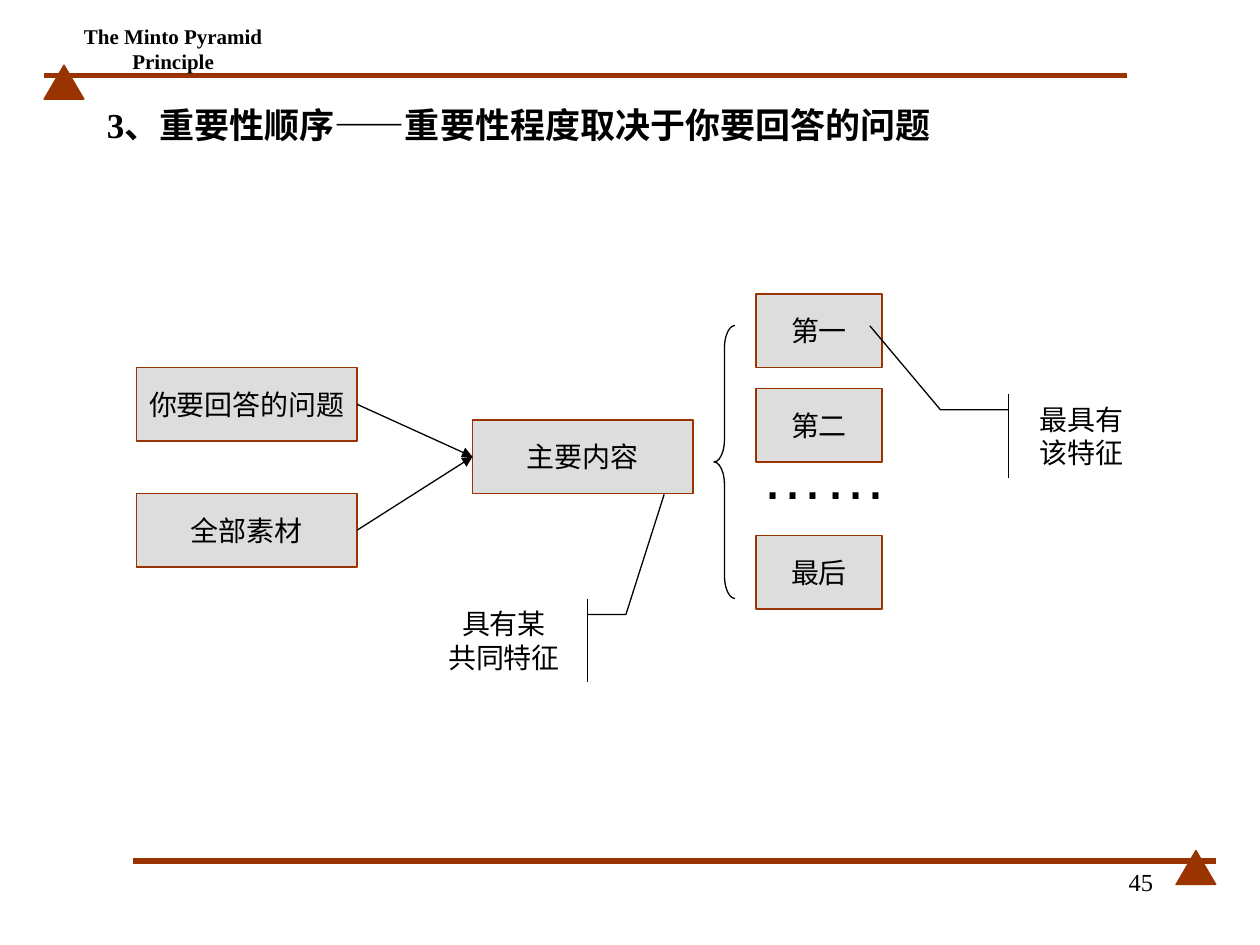
from dataclasses import dataclass

from lxml import etree
from pptx import Presentation, util as u
from pptx.dml.color import RGBColor as Rgb
from pptx.enum import shapes as sh, text as tx
from pptx.oxml.ns import qn


@dataclass(frozen=True)
class Theme:
    """Colours, fonts and type sizes."""
    rust: Rgb = Rgb(0x99, 0x33, 0x00)
    grey: Rgb = Rgb(0xDD, 0xDD, 0xDD)
    ink: Rgb = Rgb(0, 0, 0)
    serif: str = "Times New Roman"
    sans: str = "Arial"
    small: int = 12
    page: int = 14
    body: int = 16
    title: int = 20
    dots: int = 36
    hair: float = 0.75
    rule: float = 3


T = Theme()
KIND = sh.MSO_SHAPE
LEFT, MID, RIGHT = tx.PP_ALIGN.LEFT, tx.PP_ALIGN.CENTER, tx.PP_ALIGN.RIGHT


def cell(*nums):
    """Turn counts of a twelfth-inch grid into lengths."""
    return [u.Inches(n / 12) for n in nums]


def style(font, size, name=T.serif, bold=False):
    """Set size, face, weight and colour of a font."""
    font.size, font.name, font.bold = u.Pt(size), name, bold
    font.color.rgb = T.ink


def write(frame, words, size=T.body, align=MID, name=T.serif, bold=False,
          anchor=tx.MSO_ANCHOR.MIDDLE, wrap=True):
    """Fill a text frame, one paragraph for each line."""
    frame.word_wrap, frame.vertical_anchor = wrap, anchor
    frame.text = words
    for para in frame.paragraphs:
        para.alignment = align
        style(para.font, size, name, bold)


def label(slide, at, words, size, **look):
    """Add a text box."""
    box = slide.shapes.add_textbox(*cell(*at))
    write(box.text_frame, words, size, **look)


def form(slide, kind, at, fill=None, line=T.rust, adj=()):
    """Add a preset shape with a thin outline."""
    shape = slide.shapes.add_shape(kind, *cell(*at))
    shape.shadow.inherit = False
    if fill is None:
        shape.fill.background()
    else:
        shape.fill.solid()
        shape.fill.fore_color.rgb = fill
    shape.line.color.rgb, shape.line.width = line, u.Pt(T.hair)
    for i, val in enumerate(adj):
        shape.adjustments[i] = val
    return shape


def box(slide, left, top, width, words):
    """Add a grey box seven rows high."""
    shape = form(slide, KIND.RECTANGLE, (left, top, width, 7), T.grey)
    write(shape.text_frame, words, wrap=False)
    return shape


def line(slide, ends, colour, width):
    """Add a straight line."""
    link = slide.shapes.add_connector(sh.MSO_CONNECTOR.STRAIGHT, *cell(*ends))
    link.line.color.rgb, link.line.width = colour, u.Pt(width)
    etree.SubElement(link._element.spPr, qn("a:effectLst"))
    return link


def arrow(slide, start, end):
    """Join the right side of one box to the left side of another."""
    link = line(slide, (0, 0, 1, 1), T.ink, T.hair)
    link.begin_connect(start, 3)
    link.end_connect(end, 1)
    etree.SubElement(link.line._get_or_add_ln(), qn("a:tailEnd"), type="triangle")


def callout(slide, at, words, adj):
    """Add a note with an accent bar and a bent leader."""
    shape = form(slide, KIND.LINE_CALLOUT_2_ACCENT_BAR, at, line=T.ink, adj=adj)
    write(shape.text_frame, words)


def title(slide, at, parts):
    """Add the heading, with a face for each part."""
    frame = slide.shapes.add_textbox(*cell(*at)).text_frame
    frame.word_wrap, frame.vertical_anchor = True, tx.MSO_ANCHOR.MIDDLE
    for words, face in parts:
        run = frame.paragraphs[0].add_run()
        run.text = words
        style(run.font, T.title, face, True)


def trim(slide):
    """Draw the rules and triangles at head and foot."""
    for left, row, tip in ((4.2, 7.2, 4.2), (12.7, 82, 112)):
        line(slide, (left, row, left + 103.1, row), T.rust, T.rule)
        form(slide, KIND.ISOSCELES_TRIANGLE, (tip, row - 1, 3.8, 3.25), T.rust)


def main():
    """Build the slide and save it."""
    deck = Presentation()
    deck.slide_width, deck.slide_height = cell(120, 90)
    slide = deck.slides.add_slide(deck.slide_layouts[6])
    trim(slide)
    label(slide, (2.8, 2.9, 27.4, 3.4), "The Minto Pyramid Principle",
          T.small, bold=True, wrap=False)
    label(slide, (86, 82, 25, 6), "45", T.page, align=RIGHT,
          anchor=tx.MSO_ANCHOR.TOP)
    title(slide, (9, 8, 105, 7.7), (
        ("3、重要性顺序", T.serif), ("——", T.sans),
        ("重要性程度取决于你要回答的问题", T.serif)))

    core = box(slide, 45, 40, 21, "主要内容")
    for row, words in ((35, "你要回答的问题"), (47, "全部素材")):
        arrow(slide, box(slide, 13, row, 21, words), core)
    for row, words in ((28, "第一"), (37, "第二"), (51, "最后")):
        box(slide, 72, row, 12, words)
    label(slide, (69, 41, 19, 8.4), "……", T.dots, name=T.sans,
          anchor=tx.MSO_ANCHOR.TOP)
    callout(slide, (41, 57, 14, 8), "具有某\n共同特征",
            (0.19, 1.07, 0.19, 1.33, -1.24, 1.59))
    callout(slide, (97, 37.5, 12, 8), "最具有该特征",
            (0.19, -0.08, 0.19, -0.62, -0.81, -1.18))
    form(slide, KIND.LEFT_BRACE, (68, 31, 2, 26), line=T.ink, adj=(1.08, 0.5))
    deck.save("out.pptx")


if __name__ == "__main__":
    main()
